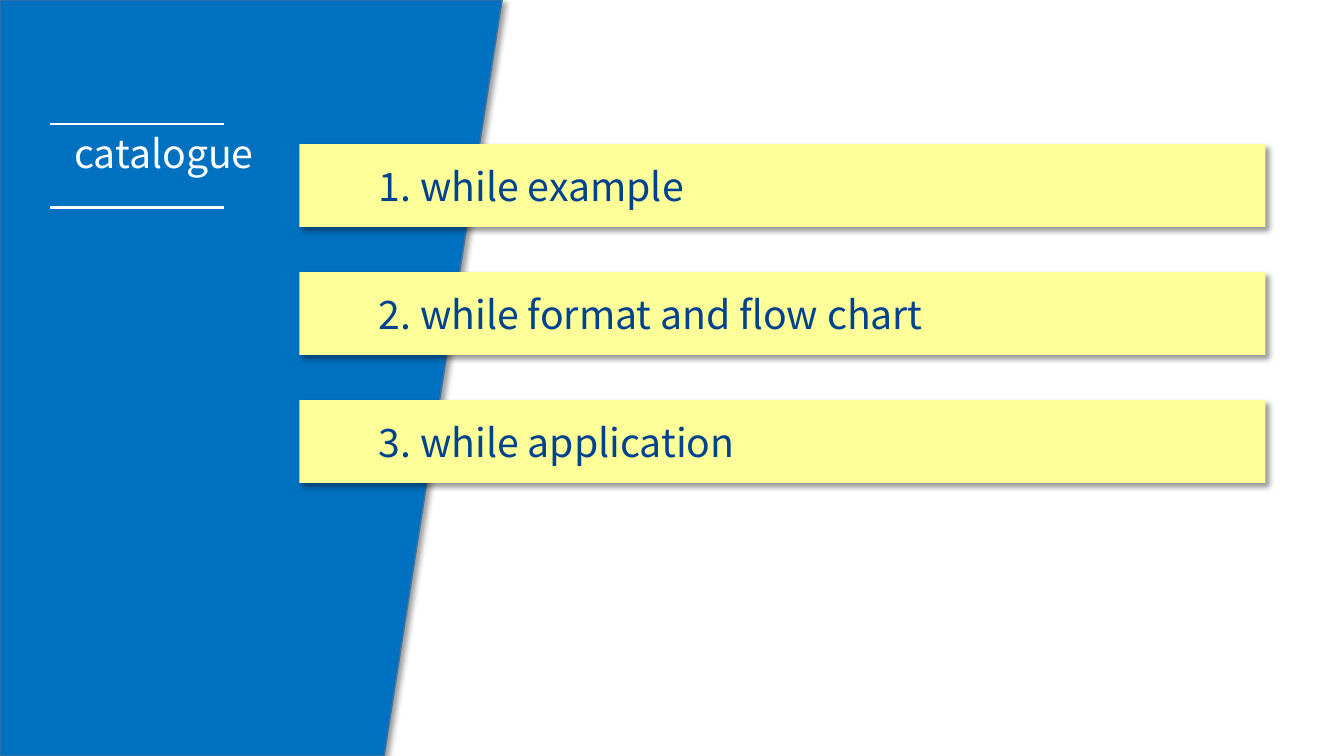
from dataclasses import dataclass

from lxml import etree
from pptx import Presentation
from pptx.dml.color import RGBColor
from pptx.enum import shapes, text
from pptx.oxml import ns
from pptx.util import Inches, Pt


@dataclass(frozen=True)
class Theme:
    """Colours and type of the slide."""
    panel: RGBColor = RGBColor.from_string("0070C0")
    panel_edge: RGBColor = RGBColor.from_string("43739E")
    bar: RGBColor = RGBColor.from_string("FFFF99")
    bar_text: RGBColor = RGBColor.from_string("00428E")
    heading: RGBColor = RGBColor.from_string("FFFFFF")
    shadow: str = "000000"
    font: str = "Noto Sans CJK SC"
    size: int = 28


THEME = Theme()
TOPICS = ["1. while example", "2. while format and flow chart", "3. while application"]


def add_shadow(shape):
    """Give a shape a soft shadow towards the lower right."""
    shape.shadow.inherit = False
    effects = shape._element.spPr.find(ns.qn("a:effectLst"))
    outer = etree.SubElement(effects, ns.qn("a:outerShdw"), blurRad=str(Pt(4)),
                             dist=str(Pt(3)), dir=str(45 * 60000), algn="tl", rotWithShape="0")
    color = etree.SubElement(outer, ns.qn("a:srgbClr"), val=THEME.shadow)
    etree.SubElement(color, ns.qn("a:alpha"), val="40000")


def write(paragraph, words, color):
    """Fill a left-aligned paragraph in the slide's type."""
    paragraph.text = words
    paragraph.alignment = text.PP_ALIGN.LEFT
    paragraph.font.name = THEME.font
    paragraph.font.size = Pt(THEME.size)
    paragraph.font.color.rgb = color


def add_panel(slide, left, top, width, height):
    """Draw the blue panel with its slanted right edge."""
    slant = 1.17
    right, bottom = left + width, top + height
    builder = slide.shapes.build_freeform(Inches(left), Inches(top))
    corners = [(right, top), (right - slant, bottom), (left, bottom)]
    builder.add_line_segments([(Inches(x), Inches(y)) for x, y in corners])
    panel = builder.convert_to_shape()
    panel.fill.solid()
    panel.fill.fore_color.rgb = THEME.panel
    panel.line.color.rgb = THEME.panel_edge
    panel.line.width = Pt(1)
    add_shadow(panel)


def add_heading(slide, left, top, width, height):
    """Place the heading between two white rules."""
    box = slide.shapes.add_textbox(Inches(left + 0.14), Inches(top), Inches(2.03), Inches(0.57))
    box.text_frame.word_wrap = False
    box.text_frame.auto_size = text.MSO_AUTO_SIZE.SHAPE_TO_FIT_TEXT
    write(box.text_frame.paragraphs[0], "catalogue", THEME.heading)
    for y in (top, top + height):
        rule = slide.shapes.add_connector(shapes.MSO_CONNECTOR.STRAIGHT, Inches(left), Inches(y),
                                          Inches(left + width), Inches(y))
        rule.line.color.rgb = THEME.heading
        rule.line.width = Pt(2)
        etree.SubElement(rule._element.spPr, ns.qn("a:effectLst"))


def add_topics(slide, left, top, width, height):
    """Stack one yellow bar per topic, evenly spread over the box."""
    bar_height = 0.82
    pitch = (height - bar_height) / (len(TOPICS) - 1)
    for index, topic in enumerate(TOPICS):
        bar = slide.shapes.add_shape(shapes.MSO_SHAPE.RECTANGLE, Inches(left),
                                     Inches(top + index * pitch), Inches(width), Inches(bar_height))
        bar.fill.solid()
        bar.fill.fore_color.rgb = THEME.bar
        bar.line.fill.background()
        add_shadow(bar)
        bar.text_frame.word_wrap = True
        bar.text_frame.vertical_anchor = text.MSO_ANCHOR.MIDDLE
        paragraph = bar.text_frame.paragraphs[0]
        write(paragraph, topic, THEME.bar_text)
        paragraph._p.get_or_add_pPr().set("indent", str(Inches(0.69)))


def main():
    """Build the catalogue slide and save it."""
    presentation = Presentation()
    presentation.slide_width = Inches(13.33)
    presentation.slide_height = Inches(7.5)
    slide = presentation.slides.add_slide(presentation.slide_layouts[6])
    add_panel(slide, 0, 0, 4.98, 7.5)
    add_heading(slide, 0.5, 1.23, 1.72, 0.83)
    add_topics(slide, 2.97, 1.43, 9.58, 3.36)
    presentation.save("out.pptx")


if __name__ == "__main__":
    main()
